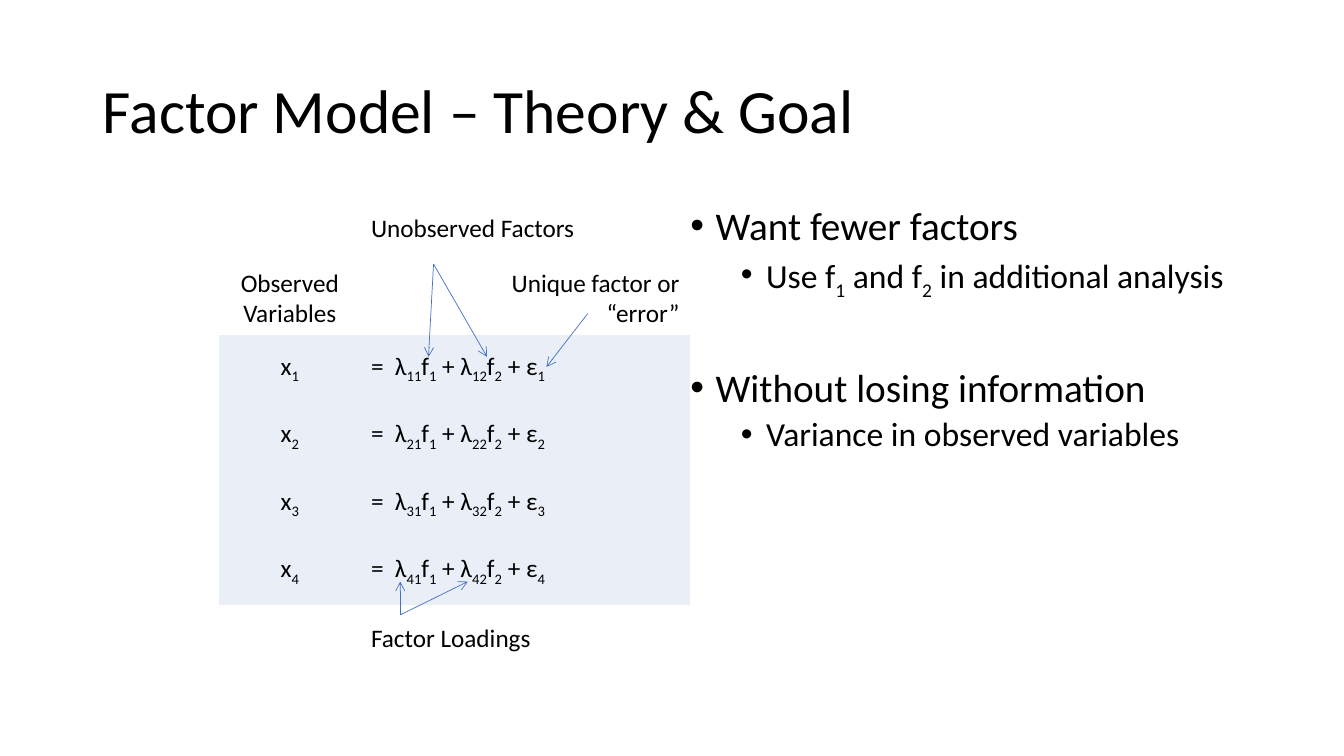
from lxml.etree import SubElement
from pptx import Presentation
from pptx.dml.color import RGBColor
from pptx.enum.shapes import MSO_CONNECTOR
from pptx.enum.text import MSO_ANCHOR, MSO_AUTO_SIZE, PP_ALIGN
from pptx.oxml.ns import qn
from pptx.util import Pt

PX = 9144  # 100 px to the inch
FONT = "Calibri"
COLORS = {"text": "000000", "band": "EAEFF7", "arrow": "4472C4"}
NO_GRID_STYLE = "{2D5ABB26-0587-4C30-8999-92F81FD0307C}"


def px(*values):
    return [v * PX for v in values]


def color(name):
    return RGBColor.from_string(COLORS[name])


def apply(target, formats):
    for name, value in formats.items():
        setattr(target, name, value)


def write(p, text, size, **formats):
    """Fill a paragraph; text between ~ marks is subscript."""
    apply(p, formats)
    for i, part in enumerate(text.split("~")):
        if not part:
            continue
        r = p.add_run()
        r.text = part
        apply(r.font, {"name": FONT, "size": Pt(size)})
        r.font.color.rgb = color("text")
        if i % 2:
            r.font._element.set("baseline", "-25000")


def add_title(s, text):
    title = s.shapes.title
    left, top, width, height = px(92, 40, 1150, 145)
    apply(title, {"left": left, "top": top, "width": width, "height": height})
    tf = title.text_frame
    apply(tf, {"vertical_anchor": MSO_ANCHOR.MIDDLE, "word_wrap": True,
               "auto_size": MSO_AUTO_SIZE.NONE})
    write(tf.paragraphs[0], text, 44, alignment=PP_ALIGN.LEFT, line_spacing=0.9)


def add_bullets(s, box, items):
    tf = s.shapes.add_textbox(*px(*box)).text_frame
    tf.word_wrap = True
    for i, (level, before, text) in enumerate(items):
        p = tf.add_paragraph() if i else tf.paragraphs[0]
        write(p, text, 24 if level else 28, level=level,
              line_spacing=0.9, space_before=Pt(before))
        pPr = p._p.get_or_add_pPr()
        pPr.set("marL", str((75 if level else 25) * PX))
        pPr.set("indent", str(-25 * PX))
        SubElement(pPr, qn("a:buFont"), typeface="Arial")
        SubElement(pPr, qn("a:buChar"), char="•")


def add_model_table(s, rows):
    frame = s.shapes.add_table(len(rows), 2, *px(217, 194, 467, 469))
    table = frame.table
    apply(table, {"first_row": False, "horz_banding": False})
    table._tbl.tblPr.find(qn("a:tableStyleId")).text = NO_GRID_STYLE
    for column, width in zip(table.columns, px(141, 326)):
        column.width = width
    for row, texts in zip(table.rows, rows):
        row.height = 67 * PX
        for cell, text, align in zip(row.cells, texts, (PP_ALIGN.CENTER, PP_ALIGN.LEFT)):
            cell.vertical_anchor = MSO_ANCHOR.MIDDLE
            write(cell.text_frame.paragraphs[0], text, 18, alignment=align)
            if texts[0].startswith("x"):
                cell.fill.solid()
                cell.fill.fore_color.rgb = color("band")
            else:
                cell.fill.background()
    return table


def add_arrows(s, start, *ends):
    for end in ends:
        c = s.shapes.add_connector(MSO_CONNECTOR.STRAIGHT, *px(*start, *end))
        c.line.width = Pt(0.5)
        c.line.color.rgb = color("arrow")
        SubElement(c.line._get_or_add_ln(), qn("a:tailEnd"), type="arrow")
        SubElement(c._element.spPr, qn("a:effectLst"))


def main():
    prs = Presentation()
    prs.slide_width, prs.slide_height = px(1333, 750)
    s = prs.slides.add_slide(prs.slide_layouts[5])
    add_title(s, "Factor Model – Theory & Goal")

    # Factor equations with their headings
    equations = [(f"x~{i}~", f"=  λ~{i}1~f~1~ + λ~{i}2~f~2~ + ε~{i}~")
                 for i in range(1, 5)]
    table = add_model_table(s, [
        ("", "Unobserved Factors"),
        ("Observed Variables", "Unique factor or “error”"),
        *equations,
        ("", "Factor Loadings"),
    ])
    error_cell = table.cell(1, 1)
    error_cell.margin_left = 130 * PX
    error_cell.text_frame.paragraphs[0].alignment = PP_ALIGN.RIGHT

    # Goals: level, space before, text
    add_bullets(s, (675, 200, 567, 476), [
        (0, 10, "Want fewer factors"),
        (1, 5, "Use f~1~ and f~2~ in additional analysis"),
        (0, 51, "Without losing information"),
        (1, 5, "Variance in observed variables"),
    ])

    # Arrows from the labels to the terms
    add_arrows(s, (430, 262), (425, 354), (483, 354))
    add_arrows(s, (397, 610), (397, 577), (464, 577))
    add_arrows(s, (583, 311), (542, 364))
    prs.save("out.pptx")


if __name__ == "__main__":
    main()
